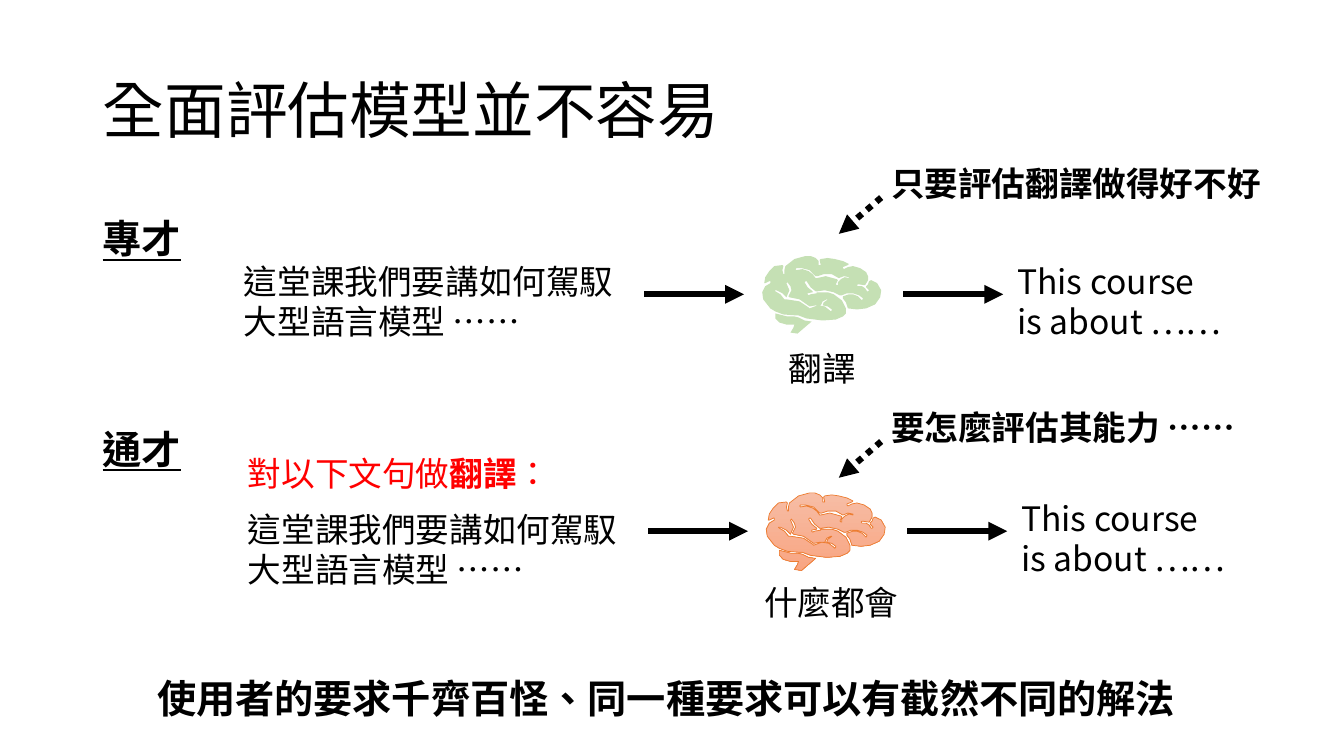
"""Build the slide on why evaluating a generalist model is hard."""
from lxml.etree import SubElement
from pptx import Presentation
from pptx.dml.color import RGBColor
from pptx.enum.dml import MSO_LINE_DASH_STYLE as DASH
from pptx.enum.shapes import MSO_CONNECTOR as CONN
from pptx.enum.text import MSO_ANCHOR as ANCHOR, PP_ALIGN as ALIGN
from pptx.oxml.ns import qn
from pptx.util import Pt

PX = 9144
FONT = "Noto Sans CJK SC"
COLORS = {"ink": "000000", "red": "FF0000", "green": "C5E0B4",
          "peach": "F7BDA5", "salmon": "F8A582", "orange": "ED7D31"}
BODY = {"size": Pt(24)}
STRONG = {"size": Pt(24), "bold": True}
HEADING = {"size": Pt(28), "bold": True, "underline": True}
CONCLUSION = {"size": Pt(28), "bold": True}

TITLE = ("全面評估模型並不容易", (92, 40, 1150, 145))
SOURCE = "這堂課我們要講如何駕馭大型語言模型 ……"
RESULT = "This course is about ……"
PROMPT = [("對以下文句做", BODY), ("翻譯", STRONG), ("：", BODY)]
ROWS = [
    {"heading": "專才", "skill": "翻譯", "remark": "只要評估翻譯做得好不好",
     "x": 0, "brain_y": 254, "heading_y": 208, "source_y": 254,
     "skill_x": 815, "skill_y": 340, "remark_y": 157},
    {"heading": "通才", "skill": "什麼都會", "remark": "要怎麼評估其能力 ……",
     "x": 4, "brain_y": 489, "heading_y": 417, "source_y": 500,
     "skill_x": 824, "skill_y": 572, "remark_y": 399},
]
ENDING = "使用者的要求千齊百怪、同一種要求可以有截然不同的解法"

LOBES = [
    (43, 0), (32, 3), (23, 10), (22, 14), (22, 18), (21, 18), (20, 14),
    (21, 10), (20, 9), (12, 10), (7, 15), (3, 21), (2, 27), (3, 27),
    (7, 25), (8, 25), (8, 27), (3, 30), (0, 36), (1, 43), (8, 52),
    (13, 55), (21, 58), (34, 59), (36, 59), (44, 62), (60, 64), (73, 63),
    (80, 60), (83, 57), (83, 52), (79, 44), (71, 38), (65, 36), (54, 36),
    (54, 37), (48, 38), (46, 39), (45, 38), (45, 37), (50, 36), (50, 35),
    (45, 31), (42, 26), (43, 25), (44, 25), (48, 31), (53, 35), (55, 35),
    (62, 34), (71, 36), (77, 39), (79, 39), (84, 37), (90, 37), (96, 39),
    (100, 42), (99, 44), (98, 43), (95, 40), (90, 38), (86, 38), (80, 40),
    (80, 42), (83, 46), (85, 52), (94, 53), (103, 52), (112, 48),
    (117, 41), (118, 34), (114, 27), (108, 24), (106, 25), (105, 28),
    (103, 30), (103, 31), (106, 34), (105, 35), (104, 35), (102, 32),
    (99, 30), (95, 30), (94, 29), (95, 28), (102, 29), (105, 24),
    (105, 20), (103, 16), (97, 12), (90, 10), (85, 11), (81, 13),
    (80, 12), (80, 11), (85, 9), (86, 8), (80, 5), (72, 3), (65, 2),
    (58, 3), (57, 4), (58, 9), (57, 9), (56, 9), (56, 5), (53, 2), (48, 0),
]
UPPER_GROOVE = [
    (39, 12), (47, 14), (53, 20), (55, 20), (61, 18), (69, 18), (76, 22),
    (81, 20), (86, 21), (86, 22), (82, 21), (78, 23), (75, 26), (75, 29),
    (74, 29), (73, 28), (75, 24), (74, 23), (63, 20), (54, 22), (53, 22),
    (50, 18), (46, 15), (40, 13), (34, 14), (33, 13), (34, 12),
]
LOWER_GROOVE = [
    (25, 26), (28, 30), (29, 34), (26, 40), (27, 41), (37, 43), (47, 50),
    (53, 49), (58, 49), (60, 45), (64, 43), (65, 43), (64, 44), (61, 46),
    (60, 49), (65, 50), (69, 53), (69, 54), (68, 55), (67, 54), (62, 50),
    (55, 49), (47, 52), (46, 51), (37, 45), (24, 43), (22, 43), (18, 38),
    (13, 35), (12, 34), (14, 34), (20, 37), (23, 40), (24, 41), (27, 34),
    (24, 27),
]
STEM = [
    (13, 57), (13, 62), (17, 66), (24, 68), (32, 68), (31, 71), (28, 76),
    (35, 77), (49, 65), (42, 64), (36, 61), (32, 60), (25, 60),
]


def rgb(name):
    return RGBColor.from_string(COLORS[name])


def write(tf, runs, color="ink", align=ALIGN.LEFT, lang="zh-TW"):
    tf.word_wrap = True
    p = tf.paragraphs[0]
    p.alignment = align
    for text, style in runs:
        r = p.add_run()
        r.text = text
        for key, value in {"name": FONT, **style}.items():
            setattr(r.font, key, value)
        r.font.color.rgb = rgb(color)
        props = r._r.get_or_add_rPr()
        props.set("lang", lang)
        SubElement(props, qn("a:ea"), typeface=FONT)
    return p


def add_text(s, box, runs, **options):
    sp = s.shapes.add_textbox(*(v * PX for v in box))
    write(sp.text_frame, runs, **options)


def add_arrow(s, *ends, dotted=False):
    c = s.shapes.add_connector(CONN.STRAIGHT, *(v * PX for v in ends))
    c.line.width = Pt(4.5)
    c.line.color.rgb = rgb("ink")
    if dotted:
        c.line.dash_style = DASH.ROUND_DOT
    SubElement(c.line._get_or_add_ln(), qn("a:tailEnd"), type="triangle")
    SubElement(c._element.spPr, qn("a:effectLst"))


def add_brain(s, x, y):
    builder = s.shapes.build_freeform(*LOBES[0], scale=PX)
    builder.add_line_segments(LOBES[1:], close=True)
    for contour in (UPPER_GROOVE, LOWER_GROOVE, STEM):
        builder.move_to(*contour[0])
        builder.add_line_segments(contour[1:], close=True)
    sp = builder.convert_to_shape(x * PX, y * PX)
    sp.shadow.inherit = False
    return sp


def add_row(s, row):
    x, y = row["x"], row["brain_y"]
    add_text(s, (92, row["heading_y"], 196, 57), [(row["heading"], HEADING)])
    add_text(s, (232 + x, row["source_y"], 407, 91), [(SOURCE, BODY)])
    add_text(s, (999 + x, y, 224, 91), [(RESULT, BODY)], lang="en-US")
    add_text(s, (row["skill_x"] - 157, row["skill_y"], 315, 50),
             [(row["skill"], BODY)], align=ALIGN.CENTER)
    for start in (639 + x, 896 + x):
        add_arrow(s, start, y + 38, start + 99, y + 38)
    top = row["remark_y"]
    add_arrow(s, 874, top + 39, 832, top + 75, dotted=True)
    add_text(s, (874, top, 406, 50), [(row["remark"], STRONG)])
    return add_brain(s, 756 + x, y)


def main():
    prs = Presentation()
    prs.slide_width, prs.slide_height = 1333 * PX, 750 * PX
    s = prs.slides.add_slide(prs.slide_layouts[5])
    title = s.shapes.title
    text, box = TITLE
    title.left, title.top, title.width, title.height = (v * PX for v in box)
    title.text_frame.vertical_anchor = ANCHOR.MIDDLE
    write(title.text_frame, [(text, {"size": Pt(44)})]).line_spacing = 0.9

    specialist, generalist = (add_row(s, row) for row in ROWS)
    specialist.fill.solid()
    specialist.fill.fore_color.rgb = rgb("green")
    specialist.line.fill.background()
    generalist.fill.gradient()
    generalist.fill.gradient_angle = 270
    for stop, name in zip(generalist.fill.gradient_stops, ("peach", "salmon")):
        stop.color.rgb = rgb(name)
    generalist.line.color.rgb = rgb("orange")
    generalist.line.width = Pt(0.5)

    add_text(s, (236, 444, 457, 50), PROMPT, color="red")
    add_text(s, (146, 664, 1133, 57), [(ENDING, CONCLUSION)])
    prs.save("out.pptx")


if __name__ == "__main__":
    main()
